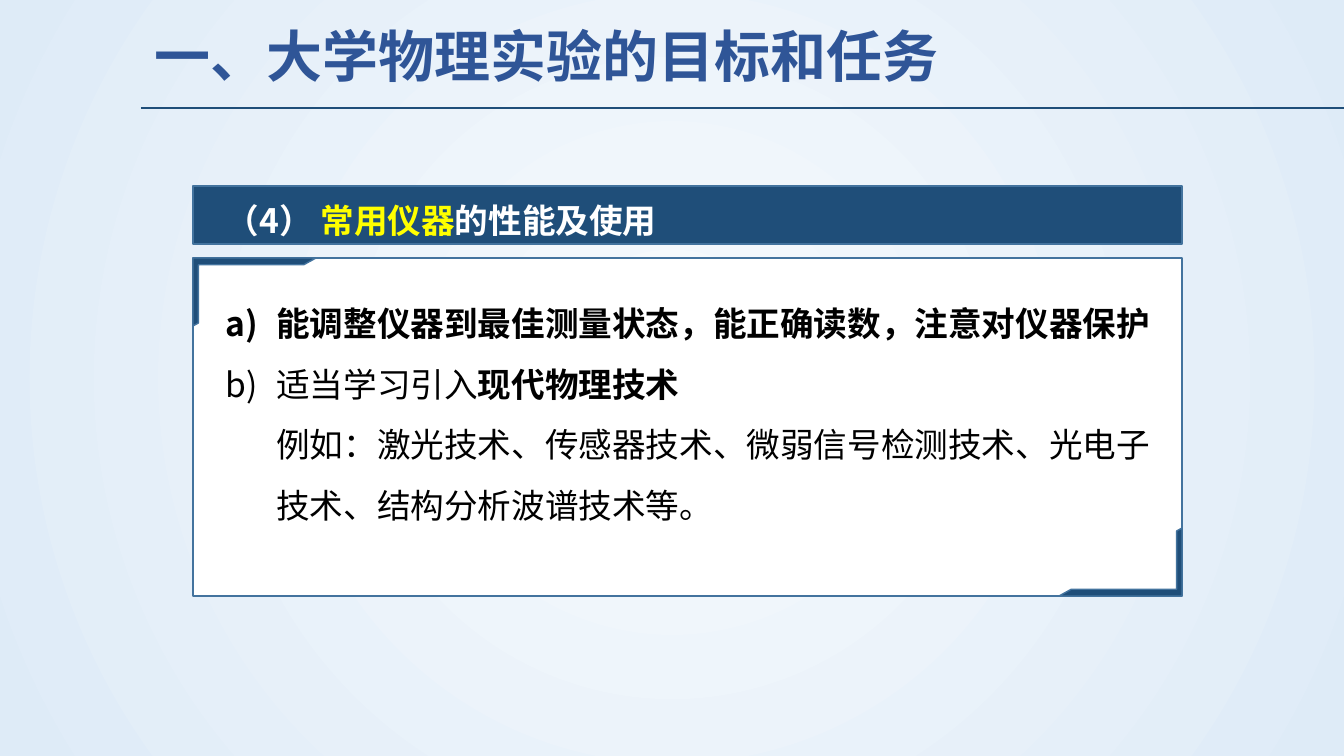
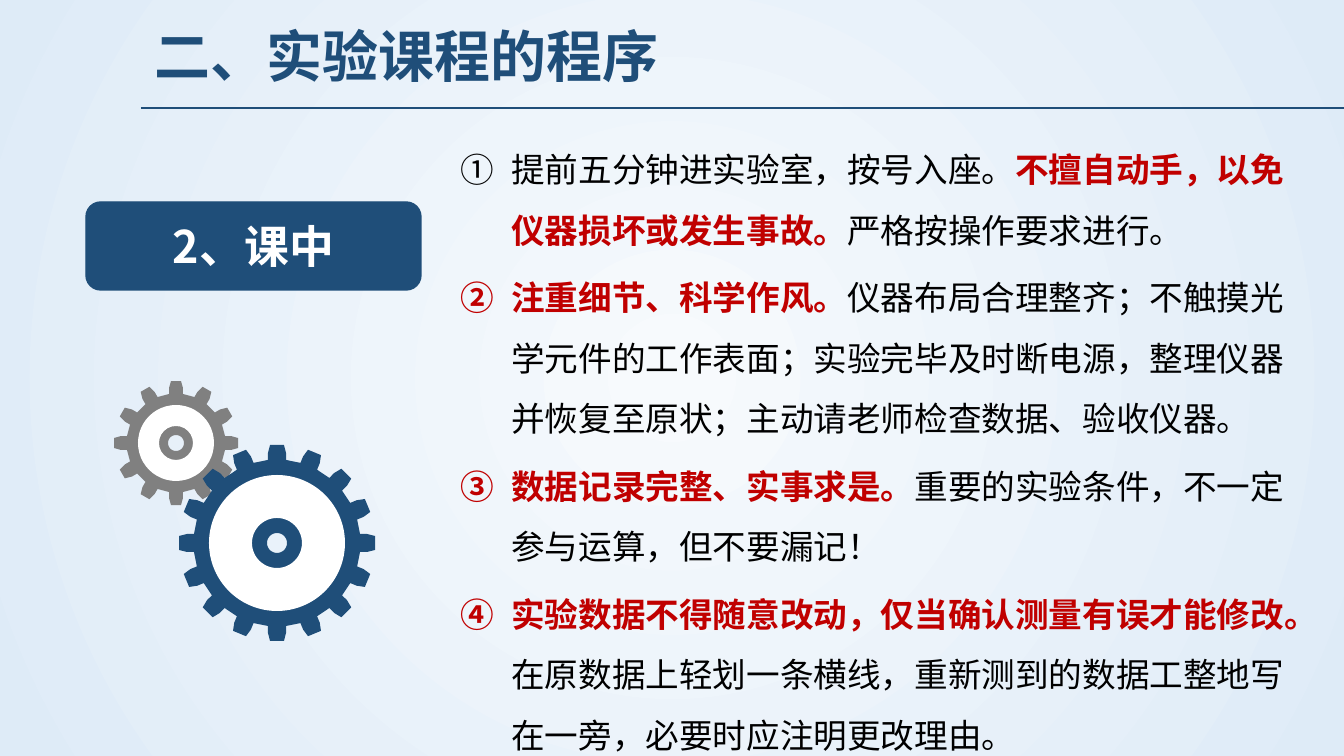
import math

from pptx import Presentation
from pptx import util as u
from pptx.dml.color import RGBColor
from pptx.enum import shapes, text
from pptx.oxml import parse_xml
from pptx.oxml.ns import nsdecls, qn
from pptx.oxml.xmlchemy import OxmlElement

# Shared style
SCALE = 12192000 / 1344  # EMU per px
FONT = "Noto Sans CJK SC"
NAVY, BLUE, EDGE, GREY = "1F4E79", "2F5597", "43739E", "808080"
WHITE, BLACK, YELLOW, RED = "FFFFFF", "000000", "FFFF00", "C00000"
GLOW = ("F7FAFD", "DEEBF7")
PRESET = shapes.MSO_SHAPE


def px(length):
    return u.Emu(round(length * SCALE))


def rgb(colour):
    return RGBColor.from_string(colour)


class Lesson:
    """Holds the deck, its style and the current slide."""

    def __init__(self):
        self.deck = Presentation()
        self.deck.slide_width, self.deck.slide_height = px(1344), px(756)
        self.slide = None

    def new_slide(self, title, colour):
        self.slide = self.deck.slides.add_slide(self.deck.slide_layouts[6])
        self.background()
        self.rule(141, 108, 1344)
        frame = self.text_box(145, 10, 1152, 99)
        frame.vertical_anchor = text.MSO_ANCHOR.MIDDLE
        self.paragraph(frame, [(title, colour, True)], size=40, spacing=0.9)

    def background(self):
        fill = self.slide.background.fill
        fill.gradient()
        for stop, colour in zip(fill.gradient_stops, GLOW):
            stop.color.rgb = rgb(colour)
        # Radial instead of linear
        gradient = self.slide.element.find(".//" + qn("a:gradFill"))
        gradient.replace(gradient.find(qn("a:lin")), parse_xml(
            f'<a:path {nsdecls("a")} path="circle">'
            '<a:fillToRect l="50000" t="50000" r="50000" b="50000"/></a:path>'))

    def rule(self, left, top, right):
        line = self.slide.shapes.add_connector(
            shapes.MSO_CONNECTOR.STRAIGHT, px(left), px(top), px(right), px(top))
        line.line.color.rgb = rgb(NAVY)
        line.line.width = u.Pt(1.25)
        line._element.spPr.append(OxmlElement("a:effectLst"))

    def paint(self, shape, fill, edge=None):
        shape.shadow.inherit = False
        shape.fill.solid()
        shape.fill.fore_color.rgb = rgb(fill)
        if edge:
            shape.line.color.rgb = rgb(edge)
            shape.line.width = u.Pt(1)
        else:
            shape.line.fill.background()

    def shape(self, preset, left, top, width, height, fill, edge=None, adjust=()):
        shape = self.slide.shapes.add_shape(
            preset, px(left), px(top), px(width), px(height))
        for index, value in enumerate(adjust):
            shape.adjustments[index] = value
        self.paint(shape, fill, edge)
        return shape

    def text_box(self, left, top, width, height, inset=True):
        box = self.slide.shapes.add_textbox(px(left), px(top), px(width), px(height))
        frame = box.text_frame
        frame.word_wrap = True
        if not inset:
            frame.margin_left = frame.margin_right = 0
            frame.margin_top = frame.margin_bottom = 0
        return frame

    def paragraph(self, frame, spans, size=24, spacing=None, align=None,
                  numbering=None, before=None):
        """Adds a paragraph of (words, colour, bold) spans; None breaks the line."""
        first = frame.paragraphs[0]
        para = frame.add_paragraph() if first.runs else first
        if numbering:
            props = para._p.get_or_add_pPr()
            props.set("marL", str(u.Inches(0.5)))
            props.set("indent", str(-u.Inches(0.5)))
            bullet = OxmlElement("a:buAutoNum")
            bullet.set("type", numbering)
            props.append(bullet)
        para.line_spacing, para.alignment = spacing, align
        if before and para._p is not first._p:
            para.space_before = u.Pt(before)
        for span in spans:
            if span is None:
                para.add_line_break()
                continue
            words, colour, bold = span
            run = para.add_run()
            run.text = words
            font = run.font
            font.name, font.size, font.bold = FONT, u.Pt(size), bold
            font.color.rgb = rgb(colour)
            east = OxmlElement("a:ea")
            east.set("typeface", FONT)
            run._r.get_or_add_rPr().append(east)

    def gear(self, x, y, teeth, tooth, hole, ring, hub, fill):
        """Tooth is half a profile: (radius, half width) from root to tip."""
        profile = [(r, -w) for r, w in tooth] + [(r, w) for r, w in reversed(tooth)]

        def turned(points, steps):
            for step in range(steps):
                angle = 2 * math.pi * step / steps
                cos, sin = math.cos(angle), math.sin(angle)
                for a, b in points:
                    yield px(x + a * cos - b * sin), px(y + a * sin + b * cos)

        outline = list(turned(profile, teeth))
        centre = list(turned([(hole, 0)], 36))
        builder = self.slide.shapes.build_freeform(*outline[0], scale=1.0)
        builder.add_line_segments(outline[1:], close=True)
        builder.move_to(*centre[0])
        builder.add_line_segments(centre[1:], close=True)
        self.paint(builder.convert_to_shape(), fill)
        self.shape(PRESET.DONUT, x - ring, y - ring, 2 * ring, 2 * ring, WHITE,
                   adjust=[(ring - hub) / (2 * ring)])


def goals(lesson):
    lesson.new_slide("一、大学物理实验的目标和任务", BLUE)

    # Card with two corner brackets
    left, top, width, height = 193, 258, 989, 338
    lesson.shape(PRESET.RECTANGLE, left, top, width, height, WHITE, EDGE)
    wide, high = 123, 68
    for x, y, angle in ((left, top, 0),
                        (left + width - wide, top + height - high, 180)):
        corner = lesson.shape(PRESET.HALF_FRAME, x, y, wide, high, NAVY, EDGE,
                              adjust=[0.1, 0.08])
        corner.rotation = angle
    frame = lesson.text_box(216, 278, 949, 247)
    for spans in (
        [("能调整仪器到最佳测量状态，能正确读数，注意对仪器保护", BLACK, True)],
        [("适当学习引入", BLACK, False), ("现代物理技术", BLACK, True), None,
         ("例如：激光技术、传感器技术、微弱信号检测技术、光电子技术、结构分析波谱技术等。",
          BLACK, False)],
    ):
        lesson.paragraph(frame, spans, spacing=1.5, numbering="alphaLcParenR")

    # Heading bar
    lesson.shape(PRESET.RECTANGLE, left, 186, width, 58, NAVY, EDGE)
    lesson.paragraph(lesson.text_box(216, 195, 938, 50),
                     [("（4） ", WHITE, True), ("常用仪器", YELLOW, True),
                      ("的性能及使用", WHITE, True)])


def procedure(lesson):
    lesson.new_slide("二、实验课程的程序", NAVY)

    # Numbered rules
    frame = lesson.text_box(461, 129, 852, 628, inset=False)
    for spans in (
        [("提前五分钟进实验室，按号入座。", BLACK, False),
         ("不擅自动手，以免仪器损坏或发生事故。", RED, True),
         ("严格按操作要求进行。", BLACK, False)],
        [("注重细节、科学作风。", RED, True),
         ("仪器布局合理整齐；不触摸光学元件的工作表面；实验完毕及时断电源，"
          "整理仪器并恢复至原状；主动请老师检查数据、验收仪器。", BLACK, False)],
        [("数据记录完整、实事求是。", RED, True),
         ("重要的实验条件，不一定参与运算，但不要漏记！", BLACK, False)],
        [("实验数据不得随意改动，仅当确认测量有误才能修改。", RED, True),
         ("在原数据上轻划一条横线，重新测到的数据工整地写在一旁，"
          "必要时应注明更改理由。", BLACK, False)],
    ):
        lesson.paragraph(frame, spans, spacing=1.5,
                         numbering="circleNumDbPlain", before=5)

    # Stage label
    label = lesson.shape(PRESET.ROUNDED_RECTANGLE, 86, 202, 335, 88, NAVY, NAVY)
    label.text_frame.vertical_anchor = text.MSO_ANCHOR.MIDDLE
    lesson.paragraph(label.text_frame, [("2、课中", WHITE, True)], size=32,
                     align=text.PP_ALIGN.CENTER)

    # Gears
    lesson.gear(176, 443, 12, [(49, 7), (55, 7), (62, 5)],
                hole=8, ring=38, hub=17, fill=GREY)
    lesson.gear(277, 543, 16, [(83, 9), (90, 9), (98, 7)],
                hole=10, ring=68, hub=25, fill=NAVY)


def main():
    lesson = Lesson()
    goals(lesson)
    procedure(lesson)
    lesson.deck.save("out.pptx")


if __name__ == "__main__":
    main()
